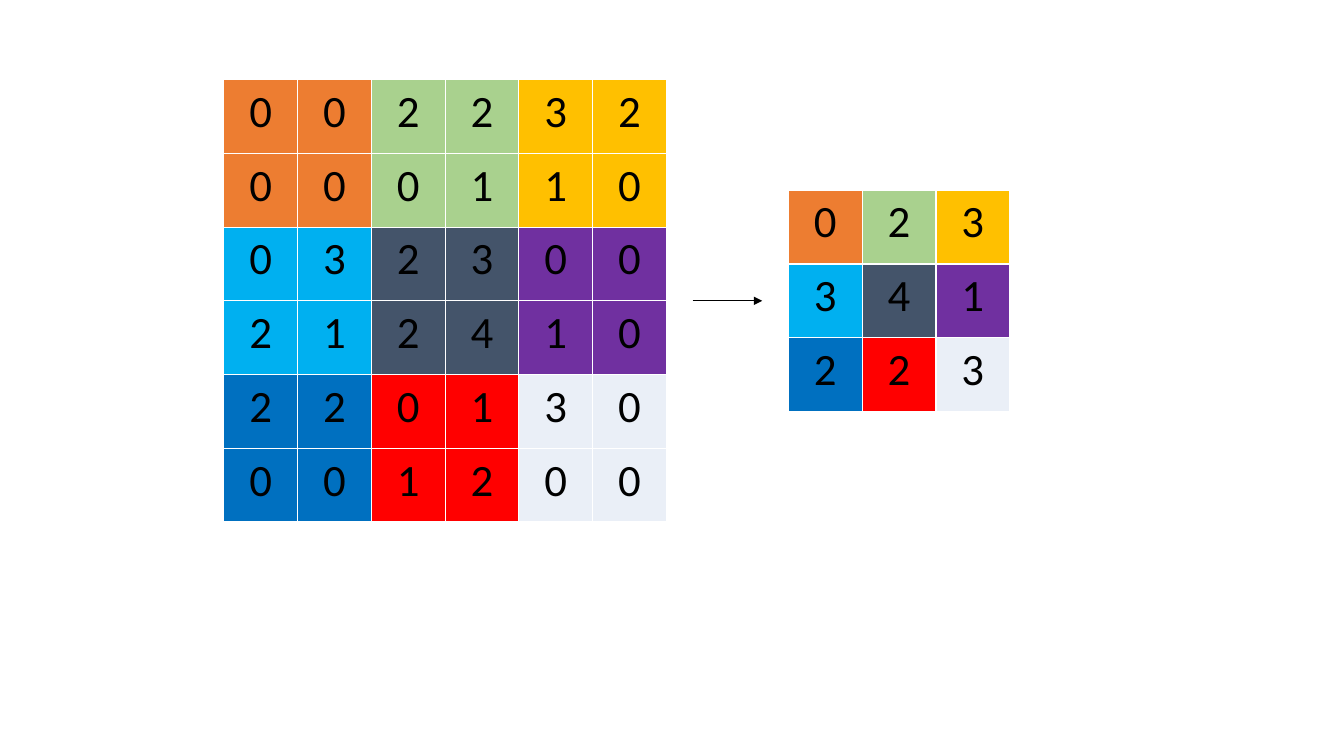
from lxml.etree import SubElement
from pptx import Presentation
from pptx.dml.color import RGBColor
from pptx.enum.shapes import MSO_CONNECTOR
from pptx.enum.text import PP_ALIGN
from pptx.oxml.ns import qn
from pptx.util import Inches, Pt

COLORS = {
    "orange": "ED7D31", "green": "A9D18E", "gold": "FFC000",
    "sky": "00B0F0", "slate": "44546A", "purple": "7030A0",
    "blue": "0070C0", "red": "FF0000", "pale": "EAEFF7",
    "black": "000000", "white": "FFFFFF",
}
WINDOW_COLORS = [
    ["orange", "green", "gold"],
    ["sky", "slate", "purple"],
    ["blue", "red", "pale"],
]
FEATURE_MAP = [
    [0, 0, 2, 2, 3, 2],
    [0, 0, 0, 1, 1, 0],
    [0, 3, 2, 3, 0, 0],
    [2, 1, 2, 4, 1, 0],
    [2, 2, 0, 1, 3, 0],
    [0, 0, 1, 2, 0, 0],
]
WINDOW = 2
MAP_SIZE = 4.39
CELL = MAP_SIZE / len(FEATURE_MAP)
MAP_LEFT, MAP_TOP = 2.22, 0.79
POOLED_LEFT = 7.82
ARROW_START, ARROW_END = 6.87, 7.56


def rgb(name):
    return RGBColor.from_string(COLORS[name])


def max_pool(values):
    starts = range(0, len(values), WINDOW)
    return [
        [max(max(row[left:left + WINDOW]) for row in values[top:top + WINDOW])
         for left in starts]
        for top in starts
    ]


def add_borders(cell):
    properties = cell._tc.get_or_add_tcPr()
    for side in ("a:lnL", "a:lnR", "a:lnT", "a:lnB"):
        line = SubElement(properties, qn(side), w=str(Pt(1)))
        fill = SubElement(line, qn("a:solidFill"))
        SubElement(fill, qn("a:srgbClr"), val=COLORS["white"])


def add_grid(slide, values, left, top, window):
    count = len(values)
    size = Inches(CELL * count)
    table = slide.shapes.add_table(
        count, count, Inches(left), Inches(top), size, size).table
    table.first_row = False
    table.horz_banding = False
    for line in [*table.columns]:
        line.width = Inches(CELL)
    for line in [*table.rows]:
        line.height = Inches(CELL)
    for row, numbers in enumerate(values):
        for column, number in enumerate(numbers):
            cell = table.cell(row, column)
            add_borders(cell)
            cell.fill.solid()
            cell.fill.fore_color.rgb = rgb(WINDOW_COLORS[row // window][column // window])
            cell.text_frame.text = str(number)
            para = cell.text_frame.paragraphs[0]
            para.alignment = PP_ALIGN.CENTER
            font = para.runs[0].font
            font.name = "Calibri"
            font.size = Pt(32)
            font.color.rgb = rgb("black")


def add_arrow(slide, start, end, middle):
    arrow = slide.shapes.add_connector(
        MSO_CONNECTOR.STRAIGHT, Inches(start), Inches(middle), Inches(end), Inches(middle))
    arrow.line.color.rgb = rgb("black")
    arrow.line.width = Pt(0.5)
    SubElement(arrow.line._get_or_add_ln(), qn("a:tailEnd"), type="triangle")
    SubElement(arrow._element.spPr, qn("a:effectLst"))


def main():
    deck = Presentation()
    deck.slide_width, deck.slide_height = Inches(13.33), Inches(7.5)
    slide = deck.slides.add_slide(deck.slide_layouts[6])
    pooled = max_pool(FEATURE_MAP)
    middle = MAP_TOP + MAP_SIZE / 2
    add_grid(slide, FEATURE_MAP, MAP_LEFT, MAP_TOP, WINDOW)
    add_arrow(slide, ARROW_START, ARROW_END, middle)
    add_grid(slide, pooled, POOLED_LEFT, middle - CELL * len(pooled) / 2, 1)
    deck.save("out.pptx")


if __name__ == "__main__":
    main()
